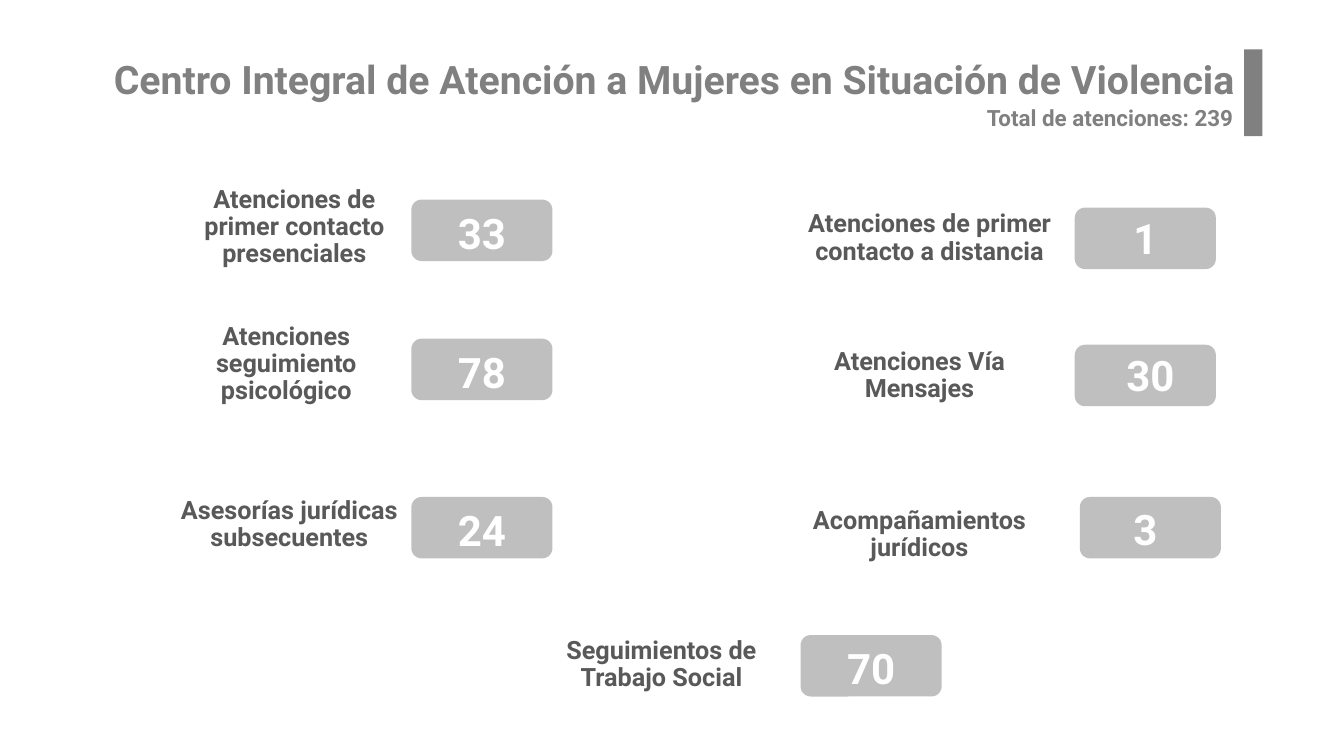
from pptx import Presentation
from pptx.dml.color import RGBColor
from pptx.enum.shapes import MSO_SHAPE
from pptx.enum.text import MSO_ANCHOR, MSO_AUTO_SIZE, PP_ALIGN
from pptx.util import Inches, Pt

TITLE = "Centro Integral de Atención a Mujeres en Situación de Violencia"
TOTAL = "Total de atenciones: 239"

# label, label box, count, tile corner, count offset from the tile
SERVICES = [
    ("Atenciones de primer contacto presenciales", (1.71, 1.92, 2.42, 0.67), "33", (4.08, 1.98), (0.18, 0.03)),
    ("Atenciones de primer contacto a distancia", (7.87, 1.81, 2.7, 1.11), "1", (10.66, 2.06), (0.18, 0)),
    ("Atenciones seguimiento psicológico", (1.66, 3.28, 2.36, 0.67), "78", (4.08, 3.36), (0.18, 0.03)),
    ("Atenciones Vía Mensajes", (7.77, 3.17, 2.7, 1.11), "30", (10.66, 3.42), (0.23, 0)),
    ("Asesorías jurídicas subsecuentes", (1.66, 4.87, 2.42, 0.67), "24", (4.08, 4.93), (0.18, 0.03)),
    ("Acompañamientos jurídicos", (7.77, 4.75, 2.7, 1.11), "3", (10.71, 4.93), (0.13, 0.02)),
    ("Seguimientos de Trabajo Social", (5.35, 6.26, 2.42, 0.67), "70", (7.94, 6.3), (0.18, 0.02)),
]

TILE_WIDTH, TILE_HEIGHT = 1.4, 0.61
COUNT_WIDTH = 1.04

WHITE = RGBColor(0xFF, 0xFF, 0xFF)
TILE_GRAY = RGBColor(0xBF, 0xBF, 0xBF)
TITLE_GRAY = RGBColor(0x80, 0x80, 0x80)
LABEL_GRAY = RGBColor(0x59, 0x59, 0x59)

FORMATS = {
    "title": {"size": 28, "color": TITLE_GRAY, "inset": 0.1,
              "frame": {},
              "paragraph": {"alignment": PP_ALIGN.RIGHT}},
    "total": {"size": 16, "color": TITLE_GRAY, "inset": 0.05,
              "frame": {"auto_size": MSO_AUTO_SIZE.SHAPE_TO_FIT_TEXT},
              "paragraph": {"alignment": PP_ALIGN.LEFT}},
    "label": {"size": 18, "color": LABEL_GRAY, "inset": 0.05,
              "frame": {"vertical_anchor": MSO_ANCHOR.MIDDLE},
              "paragraph": {"alignment": PP_ALIGN.CENTER, "line_spacing": 0.9}},
    "count": {"size": 30, "color": WHITE, "inset": 0.05,
              "frame": {"auto_size": MSO_AUTO_SIZE.SHAPE_TO_FIT_TEXT},
              "paragraph": {"alignment": PP_ALIGN.CENTER}},
}


def set_all(target, values):
    for attribute, value in values.items():
        setattr(target, attribute, value)


def add_text(slide, text, box, role):
    style = FORMATS[role]
    frame = slide.shapes.add_textbox(*map(Inches, box)).text_frame
    inset = style["inset"]
    set_all(frame, {
        "word_wrap": True,
        "margin_left": Inches(2 * inset), "margin_right": Inches(2 * inset),
        "margin_top": Inches(inset), "margin_bottom": Inches(inset),
        **style["frame"],
    })
    paragraph = frame.paragraphs[0]
    set_all(paragraph, style["paragraph"])
    run = paragraph.add_run()
    run.text = text
    set_all(run.font, {"name": "Roboto", "size": Pt(style["size"]), "bold": True})
    run.font.color.rgb = style["color"]


def add_block(slide, preset, box, color):
    block = slide.shapes.add_shape(preset, *map(Inches, box))
    block.shadow.inherit = False
    block.fill.solid()
    block.fill.fore_color.rgb = color
    block.line.fill.background()


def main():
    deck = Presentation()
    set_all(deck, {"slide_width": Inches(13.33), "slide_height": Inches(7.5)})
    slide = deck.slides.add_slide(deck.slide_layouts[6])

    for label, label_box, count, (left, top), (shift_x, shift_y) in SERVICES:
        add_text(slide, label, label_box, "label")
        add_block(slide, MSO_SHAPE.ROUNDED_RECTANGLE, (left, top, TILE_WIDTH, TILE_HEIGHT), TILE_GRAY)
        add_text(slide, count, (left + shift_x, top + shift_y, COUNT_WIDTH, TILE_HEIGHT), "count")

    add_text(slide, TITLE, (0.63, 0.45, 11.81, 0.87), "title")
    add_block(slide, MSO_SHAPE.RECTANGLE, (12.34, 0.49, 0.18, 0.86), TITLE_GRAY)
    add_text(slide, TOTAL, (9.69, 0.98, 2.85, 0.37), "total")

    deck.save("out.pptx")


if __name__ == "__main__":
    main()
